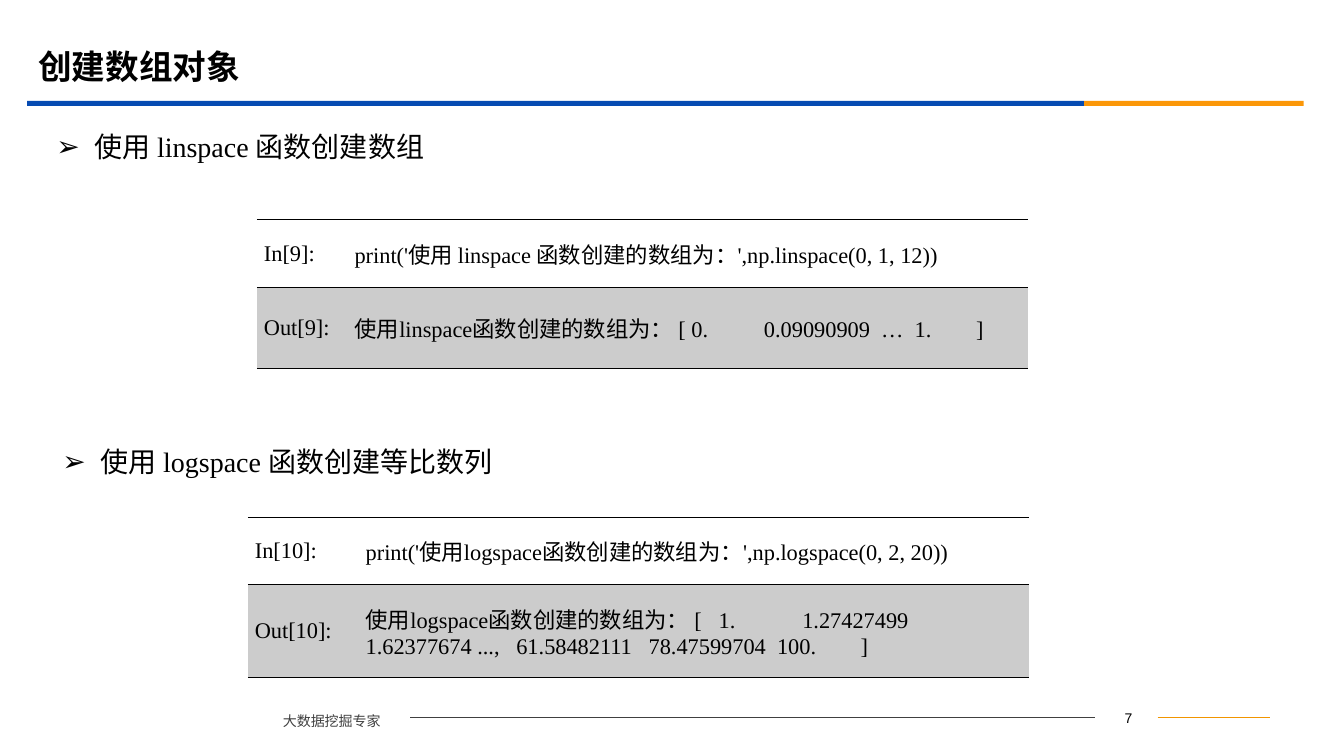
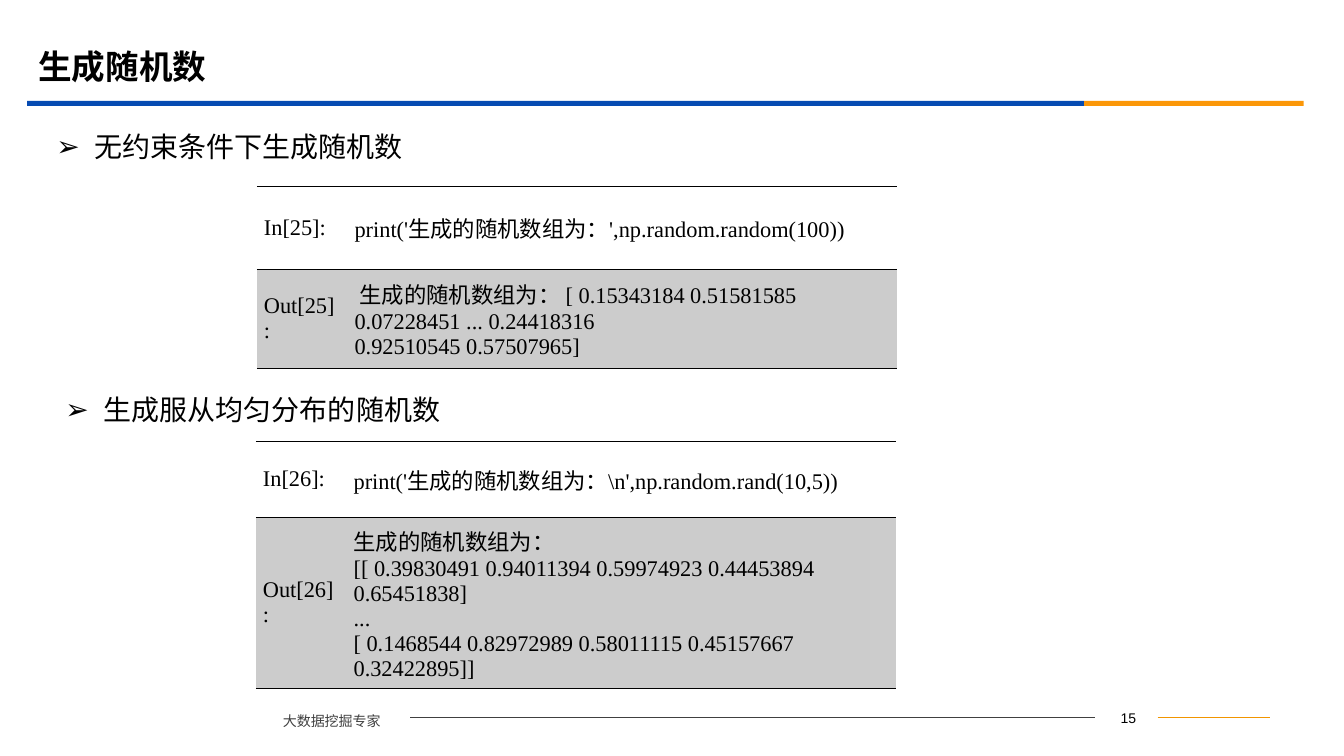
from lxml import etree
from pptx import Presentation
from pptx import util as u
from pptx.dml.color import RGBColor
from pptx.enum import shapes, text
from pptx.oxml import ns

PX = 9144  # 100 px to the inch
BLACK = RGBColor(0x00, 0x00, 0x00)
BLUE = RGBColor(0x06, 0x4B, 0xB2)
ORANGE = RGBColor(0xFB, 0x97, 0x08)
AMBER = RGBColor(0xF1, 0x95, 0x00)
DARK = RGBColor(0x40, 0x40, 0x40)
GREY = RGBColor(0xCC, 0xCC, 0xCC)
SERIF, SANS, CJK = "Times New Roman", "Arial", "Noto Sans CJK SC"

TITLE_BOX = (28, 39, 1200, 58)
RULES = [((27, 100, 1049, 5), BLUE), ((1076, 100, 218, 5), ORANGE)]
FOOTER_Y = 712
FOOTER_LINES = [(407, 1087, DARK, 0.5), (1149, 1261, AMBER, 0.75)]
BULLET_SIZE = (1215, 47)
BULLET_INDENT = 38

# Each section: bullet corner, bullet, table corner, columns, rows, cells
SLIDES = [
    ("创建数组对象", 7, [
        ((46, 124), "使用 linspace 函数创建数组",
         (255, 218), (90, 675), (67, 80),
         [("In[9]:", ["print('使用 linspace 函数创建的数组为：',np.linspace(0, 1, 12))"]),
          ("Out[9]:", ["使用linspace函数创建的数组为： [ 0.          0.09090909  …  1.        ]"])]),
        ((52, 436), "使用 logspace 函数创建等比数列",
         (246, 513), (110, 665), (67, 92),
         [("In[10]:", ["print('使用logspace函数创建的数组为：',np.logspace(0, 2, 20))"]),
          ("Out[10]:", ["使用logspace函数创建的数组为： [   1.            1.27427499    "
                        "1.62377674 ...,   61.58482111   78.47599704  100.        ]"])]),
    ]),
    ("生成随机数", 15, [
        ((46, 124), "无约束条件下生成随机数",
         (255, 185), (90, 545), (82, 98),
         [("In[25]:", ["print('生成的随机数组为：',np.random.random(100))"]),
          ("Out[25]:", [" 生成的随机数组为： [ 0.15343184 0.51581585",
                        "0.07228451 ... 0.24418316",
                        "0.92510545 0.57507965]"])]),
        ((55, 385), "生成服从均匀分布的随机数",
         (254, 438), (90, 545), (75, 162),
         [("In[26]:", ["print('生成的随机数组为：\\n',np.random.rand(10,5))"]),
          ("Out[26]:", ["生成的随机数组为：",
                        "[[ 0.39830491 0.94011394 0.59974923 0.44453894 0.65451838]",
                        "...",
                        "[ 0.1468544 0.82972989 0.58011115 0.45157667 0.32422895]]"])]),
    ]),
]


def px(*lengths):
    return [u.Emu(length * PX) for length in lengths]


def set_values(target, values):
    for name, value in values.items():
        setattr(target, name, value)


def add_xml(parent, tag, **attributes):
    return etree.SubElement(parent, ns.qn(tag), attributes)


def move(shape, box):
    set_values(shape, dict(zip(("left", "top", "width", "height"), px(*box))))


def write(frame, lines, size, font=SERIF, color=BLACK, bold=False, anchor=None, **format_values):
    """Fill a text frame with one paragraph per line."""
    set_values(frame, {"word_wrap": True, "vertical_anchor": anchor})
    for index, line in enumerate(lines):
        para = frame.paragraphs[0] if index == 0 else frame.add_paragraph()
        set_values(para, {"alignment": text.PP_ALIGN.LEFT, "space_before": u.Pt(0),
                          **format_values})
        span = para.add_run()
        span.text = line
        set_values(span.font, {"size": u.Pt(size), "name": font, "bold": bold})
        span.font.color.rgb = color
        add_xml(span.font._element, "a:ea", typeface=CJK)


def add_text(page, box, line, **format_values):
    frame = page.shapes.add_textbox(*px(*box)).text_frame
    write(frame, [line], 10, **format_values)


def add_header(page, title):
    # Title and two-colour rule
    move(page.shapes.title, TITLE_BOX)
    frame = page.shapes.title.text_frame
    frame.auto_size = text.MSO_AUTO_SIZE.NONE
    write(frame, [title], 24, bold=True, anchor=text.MSO_ANCHOR.MIDDLE, line_spacing=0.9)
    for box, color in RULES:
        rule = page.shapes.add_shape(shapes.MSO_SHAPE.RECTANGLE, *px(*box))
        rule.shadow.inherit = False
        rule.fill.solid()
        rule.fill.fore_color.rgb = color
        rule.line.fill.background()


def add_footer(page, number):
    # Motto, thin lines and page number
    add_text(page, (271, 694, 136, 35), "大数据挖掘专家", font=CJK, color=DARK, line_spacing=1.5)
    add_text(page, (1089, 699, 62, 25), str(number), font=SANS, alignment=text.PP_ALIGN.CENTER)
    for start, end, color, width in FOOTER_LINES:
        line = page.shapes.add_connector(shapes.MSO_CONNECTOR.STRAIGHT,
                                         *px(start, FOOTER_Y, end, FOOTER_Y))
        line.line.color.rgb = color
        line.line.width = u.Pt(width)
        add_xml(line._element.spPr, "a:effectLst")


def add_bullet(holder, corner, line):
    move(holder, corner + BULLET_SIZE)
    frame = holder.text_frame
    frame.auto_size = text.MSO_AUTO_SIZE.NONE
    props = frame.paragraphs[0]._p.get_or_add_pPr()
    indent = BULLET_INDENT * PX
    props.set("marL", str(indent))
    props.set("indent", str(-indent))
    add_xml(add_xml(props, "a:buClr"), "a:srgbClr", val=str(BLACK))
    add_xml(props, "a:buChar", char="➢")
    write(frame, [line], 20, anchor=text.MSO_ANCHOR.MIDDLE, line_spacing=0.9)


def rule_cell(cell):
    """Draw thin lines above and below a cell, none at its sides."""
    props = cell._tc.get_or_add_tcPr()
    for index, side in enumerate(("lnL", "lnR", "lnT", "lnB")):
        border = etree.Element(ns.qn("a:" + side), w=str(u.Pt(0.45)))
        if side in ("lnT", "lnB"):
            add_xml(add_xml(border, "a:solidFill"), "a:srgbClr", val=str(BLACK))
        else:
            add_xml(border, "a:noFill")
        props.insert(index, border)


def add_code_table(page, corner, widths, heights, rows):
    box = corner + (sum(widths), sum(heights))
    table = page.shapes.add_table(len(rows), len(widths), *px(*box)).table
    set_values(table, {"first_row": False, "horz_banding": False})
    for column, width in zip(table.columns, px(*widths)):
        column.width = width
    margins = dict(zip(("margin_left", "margin_right", "margin_top", "margin_bottom"),
                       px(7, 7, 5, 5)))
    for row_index, (label, lines) in enumerate(rows):
        table.rows[row_index].height = px(heights[row_index])[0]
        for column_index, content in enumerate(([label], lines)):
            cell = table.cell(row_index, column_index)
            set_values(cell, {**margins, "vertical_anchor": text.MSO_ANCHOR.MIDDLE})
            if row_index:
                cell.fill.solid()
                cell.fill.fore_color.rgb = GREY
            else:
                cell.fill.background()
            rule_cell(cell)
            write(cell.text_frame, content, 16)


def add_code_slide(deck, title, number, sections):
    page = deck.slides.add_slide(deck.slide_layouts.get_by_name("Two Content"))
    add_footer(page, number)
    add_header(page, title)
    holders = [holder for holder in page.placeholders if holder.placeholder_format.idx]
    for holder, (bullet_corner, bullet, *table) in zip(holders, sections):
        add_bullet(holder, bullet_corner, bullet)
        add_code_table(page, *table)


def main():
    deck = Presentation()
    deck.slide_width, deck.slide_height = px(1334, 750)
    for slide in SLIDES:
        add_code_slide(deck, *slide)
    deck.save("out.pptx")


if __name__ == "__main__":
    main()
